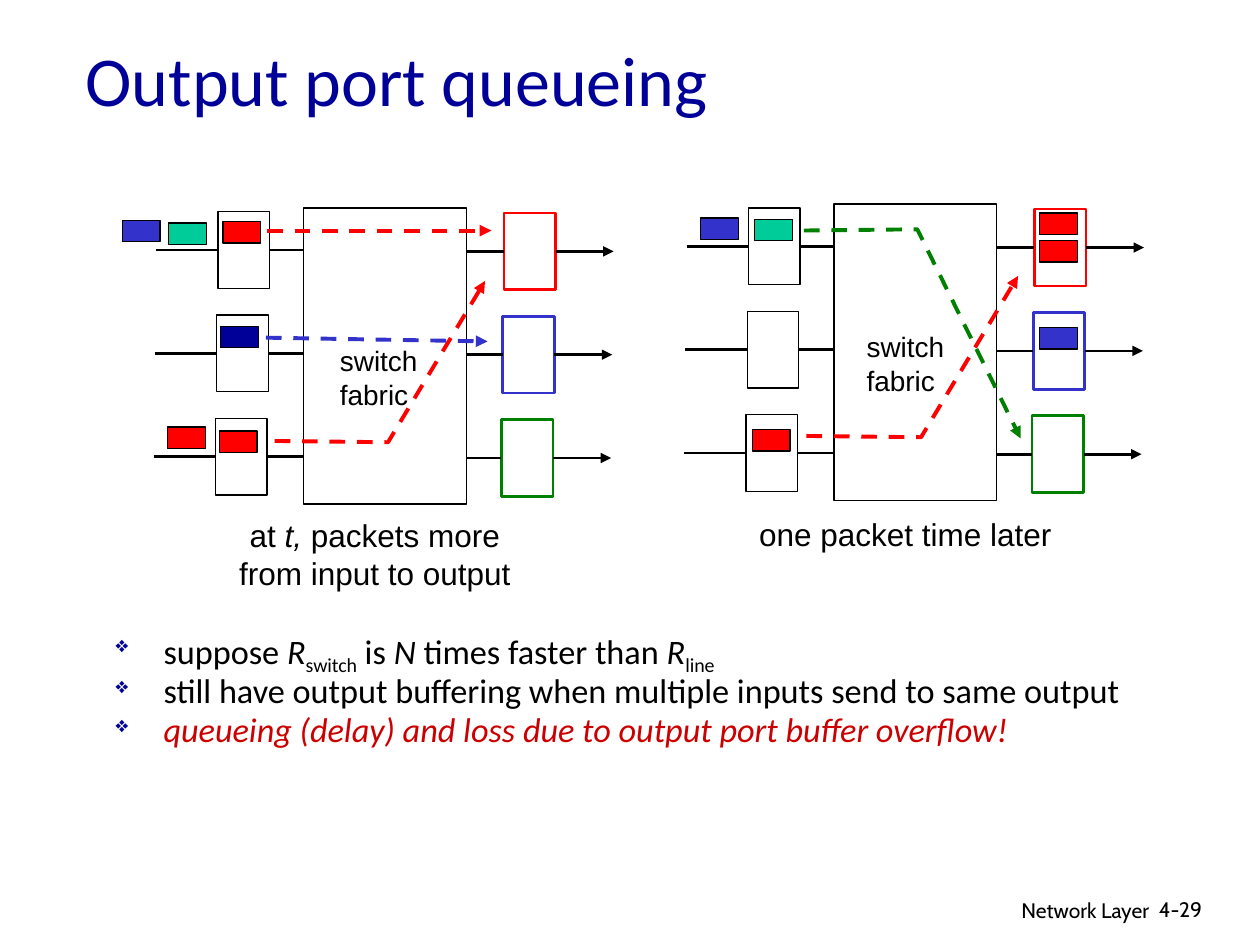
"""Build the slide on output port queueing: two switch diagrams and three bullets."""
from dataclasses import dataclass

from lxml.etree import SubElement
from pptx import Presentation
from pptx.dml.color import RGBColor
from pptx.enum.dml import MSO_LINE_DASH_STYLE as Dash
from pptx.enum.shapes import MSO_CONNECTOR as Conn, MSO_SHAPE as Shape
from pptx.enum.text import MSO_ANCHOR as Anchor, PP_ALIGN as Align
from pptx.oxml.ns import qn
from pptx.util import Inches, Pt

BLACK = RGBColor(0x00, 0x00, 0x00)
WHITE = RGBColor(0xFF, 0xFF, 0xFF)
NAVY = RGBColor(0x00, 0x00, 0x99)
BLUE = RGBColor(0x33, 0x33, 0xCC)
RED = RGBColor(0xFF, 0x00, 0x00)
DARK_RED = RGBColor(0xCC, 0x00, 0x00)
GREEN = RGBColor(0x00, 0x80, 0x00)
TEAL = RGBColor(0x00, 0xCC, 0x99)

PORT_W, PORT_H, ROW_PITCH = 0.41, 0.61, 0.82
PORT_COLORS = (RED, BLUE, GREEN)
LEFT, RIGHT = 1, 3


@dataclass(frozen=True)
class Packet:
    x: float
    y: float
    color: RGBColor


@dataclass(frozen=True)
class Route:
    points: tuple[tuple[float, float], ...]
    color: RGBColor


@dataclass(frozen=True)
class Label:
    x: float
    y: float
    w: float
    h: float
    paras: tuple
    size: float
    font: str = "Arial"
    align: Align = Align.LEFT


@dataclass(frozen=True)
class Panel:
    x: float
    y: float
    routes: tuple[Route, ...]
    packets: tuple[Packet, ...]
    labels: tuple[Label, ...]


def style_line(line, color: RGBColor, width: float, arrow: bool = False, dashed: bool = False) -> None:
    """Set the colour, width, dash and arrowhead of a line."""
    line.color.rgb = color
    line.width = Pt(width)
    if dashed:
        line.dash_style = Dash.DASH
    if arrow:
        SubElement(line._get_or_add_ln(), qn("a:tailEnd"), type="triangle")


def add_box(s, x: float, y: float, w: float, h: float, fill=WHITE, edge=BLACK, width=0.75):
    """Add a filled rectangle with an outline."""
    sp = s.shapes.add_shape(Shape.RECTANGLE, Inches(x), Inches(y), Inches(w), Inches(h))
    sp.shadow.inherit = False
    sp.fill.solid()
    sp.fill.fore_color.rgb = fill
    style_line(sp.line, edge, width)
    return sp


def add_line(s, start, end, color=BLACK, width=1.5, arrow=False, dashed=False):
    """Add a straight connector between two points."""
    cx = s.shapes.add_connector(Conn.STRAIGHT, *map(Inches, (*start, *end)))
    style_line(cx.line, color, width, arrow, dashed)
    SubElement(cx._element.spPr, qn("a:effectLst"))
    return cx


def add_route(s, route: Route) -> None:
    """Add a dashed arrow that runs through the points of a route."""
    if len(route.points) == 2:
        add_line(s, *route.points, route.color, 2.25, arrow=True, dashed=True)
        return
    first, *rest = [(Inches(x), Inches(y)) for x, y in route.points]
    builder = s.shapes.build_freeform(*first)
    builder.add_line_segments(rest, close=False)
    sp = builder.convert_to_shape()
    sp.shadow.inherit = False
    sp.fill.background()
    style_line(sp.line, route.color, 2.25, arrow=True, dashed=True)


def add_runs(p, runs, size: float, font: str, color: RGBColor) -> None:
    """Add runs of text, each a string and a style of i (italic) or sub."""
    for text, style in runs:
        r = p.add_run()
        r.text = text
        for name, value in {"size": Pt(size), "name": font, "italic": style == "i"}.items():
            setattr(r.font, name, value)
        r.font.color.rgb = color
        if style == "sub":
            r._r.get_or_add_rPr().set("baseline", "-25000")


def add_label(s, label: Label) -> None:
    """Add a text box with one or more paragraphs."""
    box = map(Inches, (label.x, label.y, label.w, label.h))
    tf = s.shapes.add_textbox(*box).text_frame
    tf.word_wrap = True
    for i, runs in enumerate(label.paras):
        p = tf.add_paragraph() if i else tf.paragraphs[0]
        p.alignment = label.align
        add_runs(p, runs, label.size, label.font, BLACK)


def add_panel(s, panel: Panel) -> None:
    """Draw a switch with its ports, wires, packets and captions."""
    x, y = panel.x, panel.y
    add_box(s, x, y, 1.29, 2.35)
    for row, color in enumerate(PORT_COLORS):
        in_x, out_x = x - 0.68 - 0.01 * row, x + 1.59 - 0.01 * row
        in_y = y + 0.03 + ROW_PITCH * row
        out_y = in_y + 0.01
        in_mid, out_mid = in_y + PORT_H / 2, out_y + PORT_H / 2
        in_port = add_box(s, in_x, in_y, PORT_W, PORT_H)
        out_port = add_box(s, out_x, out_y, PORT_W, PORT_H, edge=color, width=1.5)
        add_line(s, (in_x - 0.49, in_mid), (in_x, in_mid)).end_connect(in_port, LEFT)
        add_line(s, (in_x + PORT_W, in_mid), (x, in_mid)).begin_connect(in_port, RIGHT)
        add_line(s, (x + 1.29, out_mid), (out_x, out_mid)).end_connect(out_port, LEFT)
        end = (out_x + PORT_W + 0.46, out_mid)
        add_line(s, (out_x + PORT_W, out_mid), end, arrow=True).begin_connect(out_port, RIGHT)
    for label in panel.labels:
        add_label(s, label)
    for packet in panel.packets:
        add_box(s, packet.x, packet.y, 0.3, 0.17, packet.color)
    for route in panel.routes:
        add_route(s, route)


def add_bullets(s, bullets) -> None:
    """Add the bulleted text below the diagrams."""
    tf = s.shapes.add_textbox(*map(Inches, (0.82, 5.03, 8.5, 1.3))).text_frame
    tf.word_wrap = True
    for i, (runs, color) in enumerate(bullets):
        p = tf.add_paragraph() if i else tf.paragraphs[0]
        pPr = p._p.get_or_add_pPr()
        for name, value in {"marL": Inches(0.38), "indent": Inches(-0.38)}.items():
            pPr.set(name, str(value))
        SubElement(SubElement(pPr, qn("a:buClr")), qn("a:srgbClr"), val=str(NAVY))
        SubElement(pPr, qn("a:buSzPct"), val="65000")
        SubElement(pPr, qn("a:buChar"), char="❖")
        p.line_spacing = 0.65
        p.space_before = Pt(7 if i else 0)
        add_runs(p, runs, 19.6, "Calibri", color)


FABRIC = ((("switch", ""),), (("fabric", ""),))
MOVED = ((("at ", ""), ("t,", "i"), (" packets more", "")), (("from input to output", ""),))
PANELS = (
    Panel(2.41, 1.65,
          (Route(((2.12, 1.83), (3.9, 1.83)), RED),
           Route(((2.18, 3.5), (3.08, 3.51), (3.85, 2.23)), RED),
           Route(((2.11, 2.68), (3.87, 2.71)), BLUE)),
          (Packet(1.77, 1.76, RED), Packet(1.75, 2.59, NAVY), Packet(1.74, 3.42, RED),
           Packet(1.34, 1.77, TEAL), Packet(1.33, 3.39, RED), Packet(0.97, 1.75, BLUE)),
          (Label(1.63, 4.05, 2.69, 0.7, MOVED, 18, align=Align.CENTER),
           Label(2.6, 2.68, 0.9, 0.64, FABRIC, 16))),
    Panel(6.62, 1.62,
          (Route(((6.4, 3.46), (7.31, 3.47), (8.08, 2.19)), RED),
           Route(((6.38, 1.83), (7.28, 1.82), (8.1, 3.48)), GREEN)),
          (Packet(8.25, 1.69, RED), Packet(8.25, 2.6, BLUE), Packet(8.25, 1.91, RED),
           Packet(5.99, 1.74, TEAL), Packet(5.97, 3.41, RED), Packet(5.56, 1.73, BLUE)),
          (Label(5.84, 4.04, 2.69, 0.4, ((("one packet time later", ""),),), 18, align=Align.CENTER),
           Label(6.78, 2.57, 0.9, 0.64, FABRIC, 16))),
)
BULLETS = (
    ((("suppose ", ""), ("R", "i"), ("switch", "sub"), (" is ", ""), ("N", "i"),
      (" times faster than ", ""), ("R", "i"), ("line", "sub")), BLACK),
    ((("still have output buffering when multiple inputs send to same output", ""),), BLACK),
    ((("queueing (delay) and loss due to output port buffer overflow!", "i"),), DARK_RED),
)
FOOTERS = (
    Label(6.05, 7.07, 3.17, 0.31, ((("Network Layer", ""),),), 12, "Cabin", Align.RIGHT),
    Label(9.1, 7.07, 0.74, 0.3, ((("4-29", ""),),), 12, "Cabin"),
)


def main() -> None:
    """Build and save the slide."""
    prs = Presentation()
    prs.slide_width, prs.slide_height = Inches(10), Inches(7.5)
    s = prs.slides.add_slide(prs.slide_layouts[5])
    title = s.shapes.title
    for name, value in {"left": 0.58, "top": 0.22, "width": 8.5, "height": 0.8}.items():
        setattr(title, name, Inches(value))
    title.text_frame.vertical_anchor = Anchor.MIDDLE
    p = title.text_frame.paragraphs[0]
    p.alignment = Align.LEFT
    add_runs(p, (("Output port queueing", ""),), 40, "Calibri", NAVY)
    for panel in PANELS:
        add_panel(s, panel)
    add_bullets(s, BULLETS)
    for footer in FOOTERS:
        add_label(s, footer)
    prs.save("out.pptx")


if __name__ == "__main__":
    main()
